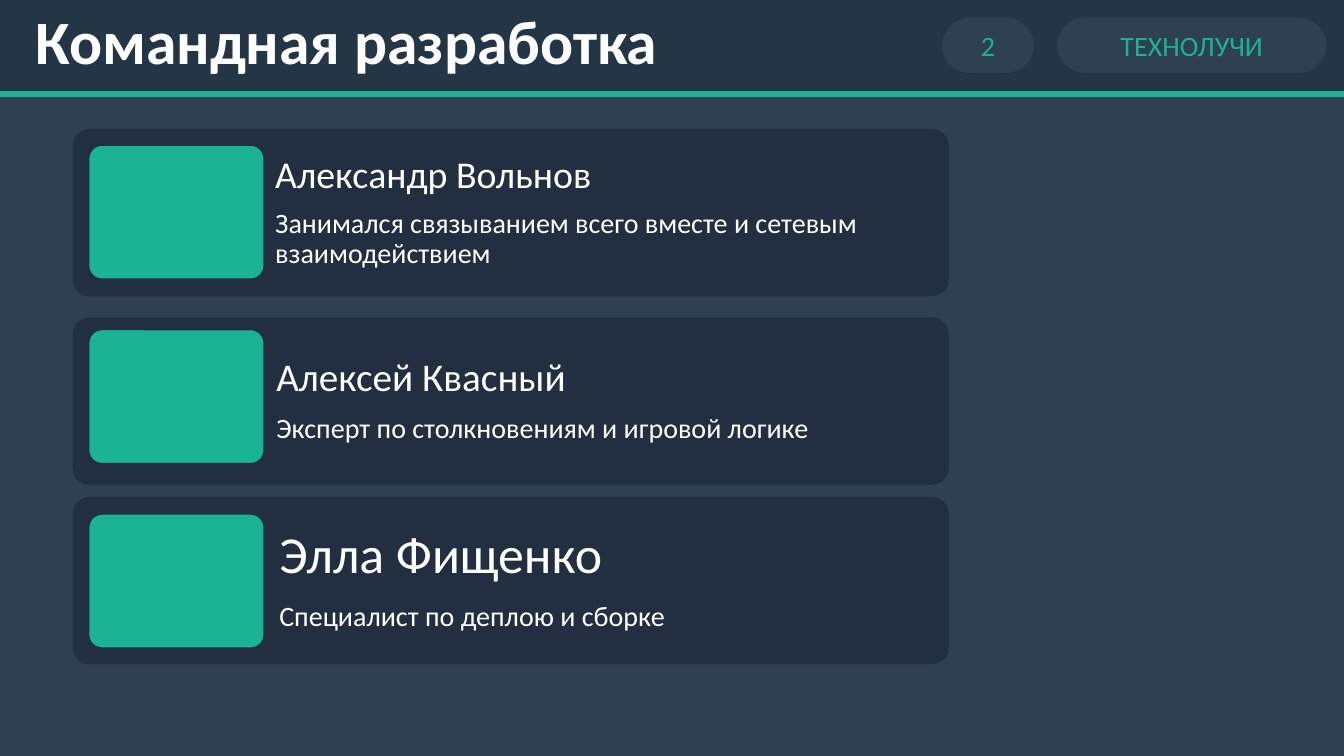
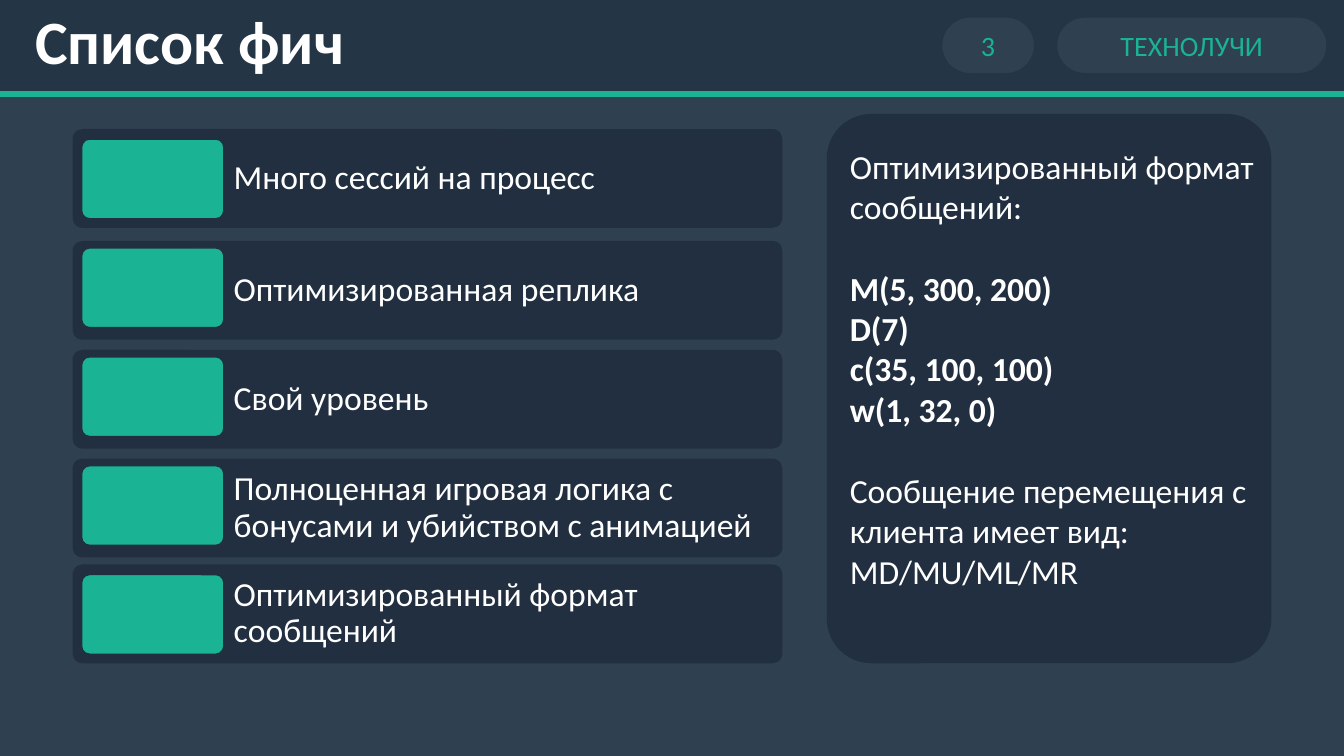
from pptx import Presentation
from pptx.dml.color import RGBColor
from pptx.enum.shapes import MSO_SHAPE
from pptx.enum.text import MSO_ANCHOR, PP_ALIGN
from pptx.util import Inches, Pt

FONT = "Calibri"
BACKGROUND = "2F4050"
BAND = "243545"
CARD = "222F40"
ACCENT = "1AB394"
WHITE = "FFFFFF"
COURSE = "ТЕХНОЛУЧИ"
CARD_LEFT = 0.72
LINE_GAP = 29.3

TEAM = [
    (1.28, "Александр Вольнов", 27, 0.11,
     "Занимался связыванием всего вместе и сетевым взаимодействием"),
    (3.15, "Алексей Квасный", 28, 0.12, "Эксперт по столкновениям и игровой логике"),
    (4.93, "Элла Фищенко", 37, 0.15, "Специалист по деплою и сборке"),
]
FEATURES = [
    (1.28, "Много сессий на процесс"),
    (2.39, "Оптимизированная реплика"),
    (3.47, "Свой уровень"),
    (4.55, "Полноценная игровая логика с бонусами и убийством с анимацией"),
    (5.6, "Оптимизированный формат сообщений"),
]
MESSAGES = ["M(5, 300, 200)", "D(7)", "c(35, 100, 100)", "w(1, 32, 0)"]


def color(value):
    return RGBColor.from_string(value)


def add_box(page, kind, place, fill, line=None, width=1, corner=None):
    box = page.shapes.add_shape(kind, *map(Inches, place))
    box.shadow.inherit = False
    box.fill.solid()
    box.fill.fore_color.rgb = color(fill)
    if line:
        box.line.color.rgb = color(line)
        box.line.width = Pt(width)
    else:
        box.line.fill.background()
    if corner is not None:
        box.adjustments[0] = corner
    return box


def add_rounded(page, place, fill, line=None, width=1, corner=0.1):
    return add_box(page, MSO_SHAPE.ROUNDED_RECTANGLE, place, fill, line, width, corner)


def set_up_frame(box, margins):
    frame = box.text_frame
    frame.word_wrap = True
    frame.vertical_anchor = MSO_ANCHOR.MIDDLE
    (frame.margin_left, frame.margin_top,
     frame.margin_right, frame.margin_bottom) = map(Inches, margins)
    return frame


def write(para, text, size, ink=WHITE, bold=False, align=PP_ALIGN.LEFT,
          spacing=1.0, before=0, after=0):
    para.text = text
    para.alignment = align
    para.line_spacing = spacing
    para.space_before = Pt(before)
    para.space_after = Pt(after)
    for span in para.runs:
        span.font.name = FONT
        span.font.size = Pt(size)
        span.font.bold = bold
        span.font.color.rgb = color(ink)


def add_text(page, place, lines, inset=0.1):
    box = page.shapes.add_textbox(*map(Inches, place))
    frame = set_up_frame(box, [inset] * 4)
    for index, (text, style) in enumerate(lines):
        para = frame.add_paragraph() if index else frame.paragraphs[0]
        write(para, text, **style)


def add_chip(page, left, width, text):
    chip = add_rounded(page, (left, 0.17, width, 0.56), BACKGROUND, BAND, 0.75, 0.5)
    frame = set_up_frame(chip, [0] * 4)
    write(frame.paragraphs[0], text, 20, ACCENT, align=PP_ALIGN.CENTER)


def add_page(deck, title, number):
    page = deck.slides.add_slide(deck.slide_layouts[6])
    band = add_box(page, MSO_SHAPE.RECTANGLE, (-0.04, -0.04, 13.43, 0.97),
                   BAND, ACCENT, 4.5)
    frame = set_up_frame(band, (0.39, 0.05, 0.1, 0.05))
    write(frame.paragraphs[0], title, 44, bold=True, spacing=0.9)
    add_chip(page, 10.48, 2.68, COURSE)
    add_chip(page, 9.34, 0.92, str(number))
    return page


def add_card(page, top, size, marker, lines, inset=0.1):
    width, height = size
    marker_left, marker_top, marker_width, marker_height = marker
    text_left = marker_left + marker_width
    add_rounded(page, (CARD_LEFT, top, width, height), CARD)
    add_rounded(page, (marker_left, marker_top, marker_width, marker_height), ACCENT, CARD)
    styled = [(text, dict(size=points, spacing=0.9, after=0.35 * points))
              for text, points in lines]
    add_text(page, (text_left, top, CARD_LEFT + width - text_left, height), styled, inset)


def build_team(deck):
    page = add_page(deck, "Командная разработка", 2)
    for index, (top, name, size, inset, role) in enumerate(TEAM):
        marker = (0.88, 1.44 + 1.83 * index, 1.74, 1.33)
        add_card(page, top, (8.69, 1.66), marker, [(name, size), (role, 20)], inset)


def build_features(deck):
    page = add_page(deck, "Список фич", 3)
    for index, (top, feature) in enumerate(FEATURES):
        marker = (0.81, 1.38 + 1.08 * index, 1.41, 0.79)
        add_card(page, top, (7.04, 0.98), marker, [(feature, 24)])
    add_rounded(page, (8.2, 1.13, 4.41, 5.45), CARD)
    lines = [("Оптимизированный формат сообщений:", dict(size=24, after=LINE_GAP))]
    lines += [(message, dict(size=24, bold=True)) for message in MESSAGES]
    lines.append(("Сообщение перемещения с клиента имеет вид: MD/MU/ML/MR",
                  dict(size=24, before=LINE_GAP)))
    add_text(page, (8.33, 1.58, 4.28, 4.15), lines)


def main():
    deck = Presentation()
    deck.slide_width = Inches(13.33)
    deck.slide_height = Inches(7.5)
    background = deck.slide_master.background.fill
    background.solid()
    background.fore_color.rgb = color(BACKGROUND)
    build_team(deck)
    build_features(deck)
    deck.save("out.pptx")


if __name__ == "__main__":
    main()
